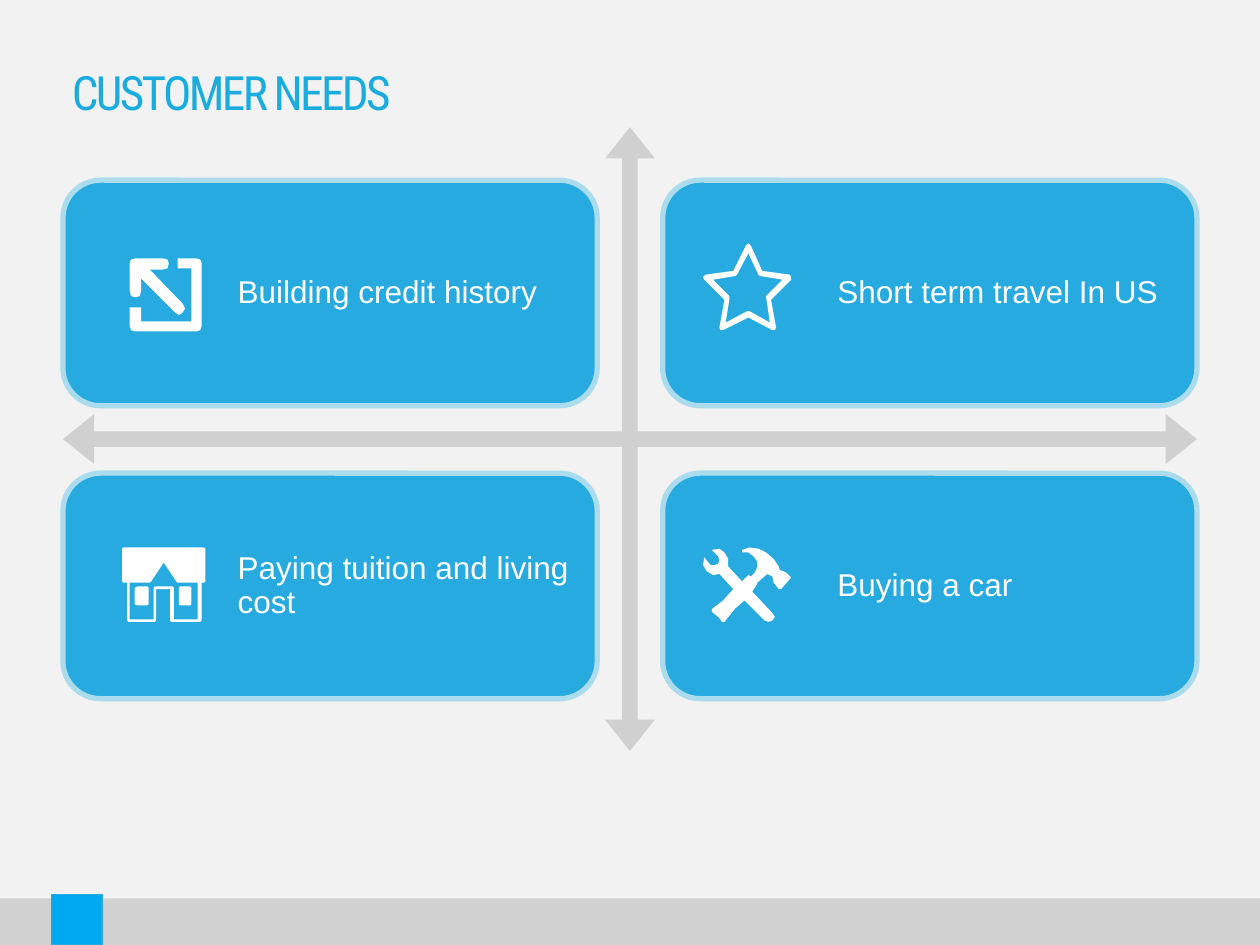
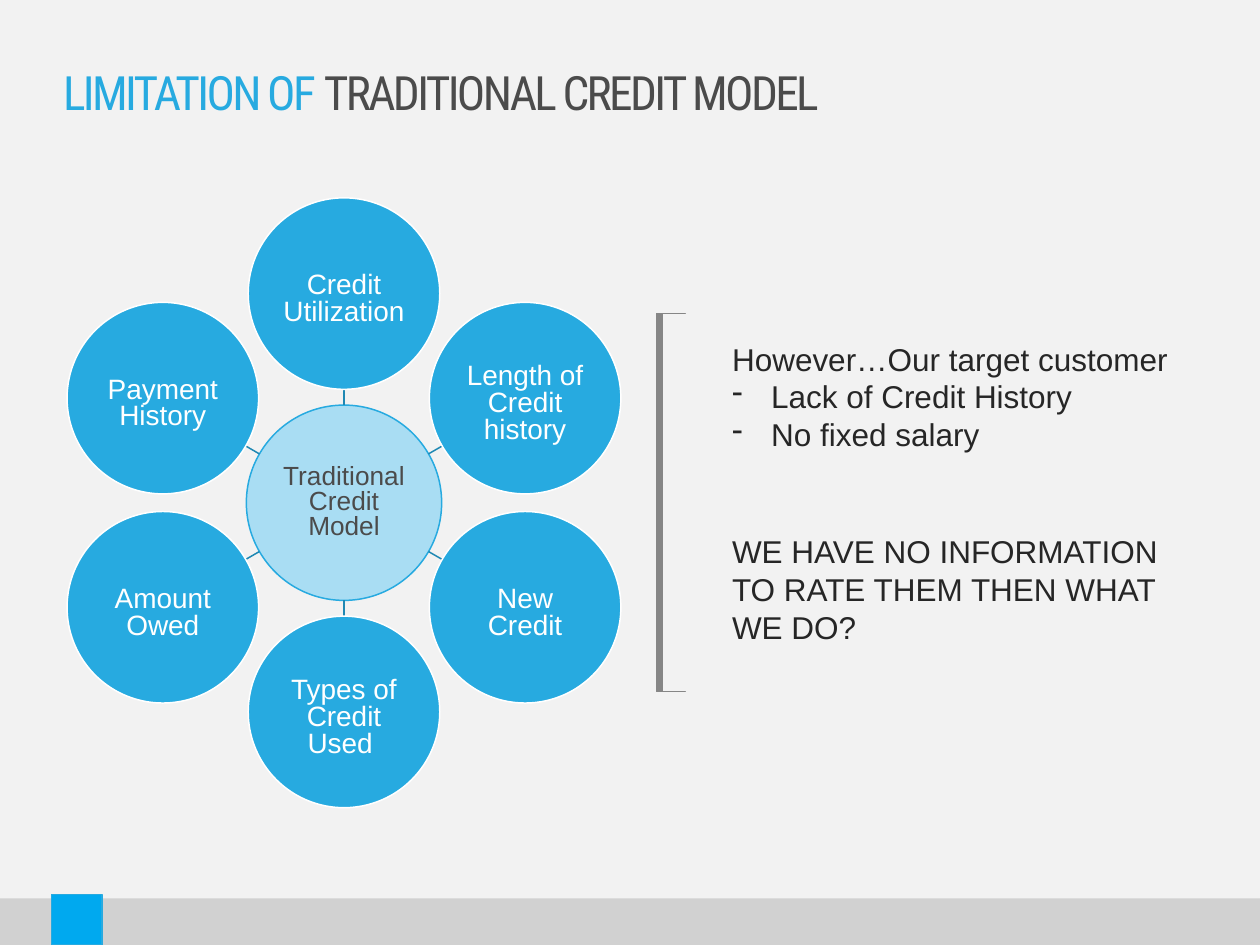
from dataclasses import dataclass
from math import cos, radians, sin

from pptx import Presentation
from pptx.dml.color import RGBColor
from pptx.enum.shapes import MSO_CONNECTOR as Connector, MSO_SHAPE as Shape
from pptx.enum.text import MSO_ANCHOR as Anchor, MSO_AUTO_SIZE as AutoSize, PP_ALIGN as Align
from pptx.oxml.ns import qn
from pptx.util import Inches, Pt
from lxml.etree import SubElement


@dataclass(frozen=True)
class Theme:
    """Colours, fonts and type sizes shared by the slides."""
    paper: str = "F2F2F2"
    band: str = "D1D1D1"
    badge: str = "00A9EF"
    blue: str = "27AAE0"
    title_blue: str = "1BACDF"
    pale: str = "A9DDF3"
    card_edge: str = "AADCEE"
    spoke: str = "1F88B3"
    axis: str = "D0D0D0"
    bracket: str = "868686"
    heading: str = "4B4B4B"
    ink: str = "262626"
    white: str = "FFFFFF"
    title_font: str = "Roboto Condensed"
    body_font: str = "Arial"
    title_size: int = 27
    body_size: int = 18
    node_size: int = 16
    hub_size: int = 15


THEME = Theme()
COLUMNS, ROWS = 100, 75

ARROW_ICON = [
    [(53, 0), (38, 0), (38, 8), (49, 8), (49, 50), (9, 50), (9, 39), (0, 39),
     (0, 54), (1, 57), (4, 58), (53, 58), (56, 57), (57, 54), (57, 4), (56, 1)],
    [(5, 31), (8, 30), (9, 26), (9, 16), (36, 43), (39, 45), (42, 43), (44, 40),
     (42, 36), (16, 9), (26, 9), (30, 8), (31, 4), (30, 1), (26, 0), (5, 0),
     (1, 1), (0, 4), (0, 26), (1, 30)],
]
STAR_ICON = [
    [(50, 42), (53, 63), (37, 54), (35, 54), (18, 63), (21, 44), (21, 42), (8, 29),
     (26, 26), (27, 25), (36, 8), (44, 25), (45, 26), (63, 29)],
    [(70, 27), (69, 25), (47, 22), (38, 2), (36, 0), (34, 2), (24, 22), (2, 25),
     (0, 27), (1, 29), (17, 45), (13, 67), (14, 69), (16, 69), (36, 59), (55, 69),
     (57, 69), (58, 67), (54, 45), (70, 29)],
]
TOOLS_ICON = [
    [(69, 25), (66, 22), (64, 21), (61, 20), (60, 17), (56, 11), (50, 6), (44, 3),
     (37, 2), (31, 4), (31, 6), (36, 6), (40, 9), (43, 13), (43, 18), (41, 22),
     (38, 25), (36, 24), (31, 29), (20, 17), (20, 11), (17, 6), (13, 3), (7, 4),
     (12, 9), (13, 12), (12, 15), (9, 16), (6, 16), (1, 10), (0, 16), (3, 21),
     (8, 24), (13, 23), (24, 35), (16, 44), (7, 51), (7, 53), (13, 58), (15, 61),
     (17, 61), (26, 50), (33, 44), (49, 60), (52, 61), (55, 60), (57, 57), (55, 54),
     (39, 37), (43, 31), (43, 30), (51, 23), (55, 25), (56, 30), (57, 31), (60, 35),
     (62, 35), (69, 27), (70, 26)],
]
HOUSE_ICON = [
    [(60, 57), (41, 57), (41, 32), (40, 31), (26, 31), (25, 32), (25, 57), (6, 57),
     (6, 28), (22, 28), (23, 27), (33, 12), (43, 27), (44, 28), (60, 28)],
    [(65, 0), (1, 0), (0, 1), (0, 27), (1, 28), (4, 28), (4, 58), (5, 59), (26, 59),
     (27, 58), (27, 33), (38, 33), (38, 58), (39, 59), (62, 59), (63, 58), (63, 28),
     (65, 28), (66, 27), (66, 1)],
    [(46, 46), (54, 46), (55, 45), (55, 32), (54, 31), (46, 31), (45, 32), (45, 45)],
    [(20, 31), (12, 31), (10, 32), (10, 45), (12, 46), (20, 46), (21, 45), (21, 32)],
]
BRACKET = [[(5, 300), (5, 0), (23, 0), (0, 0), (0, 300), (23, 300)]]

NEEDS = [
    ("Building credit history", ARROW_ICON, 5.3, 6.2),
    ("Short term travel In US", STAR_ICON, 3.2, 5),
    ("Paying tuition and living cost", HOUSE_ICON, 4.7, 5.9),
    ("Buying a car", TOOLS_ICON, 3.2, 5.7),
]
FACTORS = ["Credit Utilization", "Length of Credit history", "New Credit",
           "Types of Credit Used ", "Amount Owed", "Payment History"]


def cells(count):
    """Turn grid columns or rows into a length."""
    return Inches(count / 10)


def rgb(code):
    """Turn a hex code into a colour."""
    return RGBColor.from_string(code)


def paint(shape, fill, edge=None, width=0.75):
    """Set fill and outline and drop the shadow."""
    shape.shadow.inherit = False
    shape.fill.solid()
    shape.fill.fore_color.rgb = rgb(fill)
    if edge:
        shape.line.color.rgb = rgb(edge)
        shape.line.width = Pt(width)
    else:
        shape.line.fill.background()


def add_dash(para, indent):
    """Give a paragraph a hanging dash bullet."""
    props = para._p.get_or_add_pPr()
    props.set("marL", str(indent))
    props.set("indent", str(-indent))
    SubElement(props, qn("a:buChar")).set("char", "-")


def write(frame, paragraphs, *, size=THEME.body_size, color=THEME.ink, font=THEME.body_font,
          align=Align.LEFT, leading=None, tracking=None, inset=(0, 0, 0, 0), dashed=()):
    """Fill a text frame; a paragraph is a string or a list of (text, colour)."""
    frame.word_wrap = True
    frame.auto_size = AutoSize.NONE
    frame.vertical_anchor = Anchor.MIDDLE
    frame.margin_left, frame.margin_top, frame.margin_right, frame.margin_bottom = map(cells, inset)
    for index, content in enumerate(paragraphs):
        para = frame.add_paragraph() if index else frame.paragraphs[0]
        para.alignment = align
        if leading:
            para.line_spacing = leading
        if index in dashed:
            add_dash(para, cells(3.1))
        for text, shade in [(content, color)] if isinstance(content, str) else content:
            span = para.add_run()
            span.text = text
            span.font.name, span.font.size = font, Pt(size)
            span.font.color.rgb = rgb(shade)
            if tracking:
                span._r.get_or_add_rPr().set("spc", str(round(tracking * 100)))


def add_block(page, kind, left, top, width, height, fill, edge=None, line_width=0.75):
    """Add a painted preset shape."""
    shape = page.shapes.add_shape(kind, *map(cells, (left, top, width, height)))
    paint(shape, fill, edge, line_width)
    return shape


def add_outline(page, contours, left, top, fill, edge=None):
    """Add a freeform from contours given in hundredths of an inch."""
    first, *others = contours
    builder = page.shapes.build_freeform(*first[0], scale=Inches(0.01))
    builder.add_line_segments(first[1:])
    for contour in others:
        builder.move_to(*contour[0])
        builder.add_line_segments(contour[1:])
    paint(builder.convert_to_shape(cells(left), cells(top)), fill, edge, 0)


def add_spoke(page, start, end):
    """Add a thin straight connector between two grid points."""
    line = page.shapes.add_connector(Connector.STRAIGHT, *map(cells, (*start, *end)))
    line.line.color.rgb = rgb(THEME.spoke)
    line.line.width = Pt(0.85)
    SubElement(line._element.spPr, qn("a:effectLst"))


def add_disc(page, center, radius, text, fill, edge, **style):
    """Add a labelled circle around a center."""
    disc = add_block(page, Shape.OVAL, center[0] - radius, center[1] - radius,
                     2 * radius, 2 * radius, fill, edge, 0.85)
    write(disc.text_frame, [text], align=Align.CENTER, leading=0.8, **style)


def add_note(page, top, paragraphs, **style):
    """Add a text box in the right-hand column."""
    box = page.shapes.add_textbox(*map(cells, (58.1, top, 36.9, 9.1)))
    write(box.text_frame, paragraphs, **style)


def add_page(deck, spans, indent=0):
    """Add a title-only slide with its title and footer band."""
    page = deck.slides.add_slide(deck.slide_layouts[5])
    title = page.shapes.title
    title.left, title.top, title.width, title.height = map(cells, (5, 1.05, 90, 12.5))
    write(title.text_frame, [spans], size=THEME.title_size, font=THEME.title_font,
          leading=0.74, tracking=-1.5, inset=(indent, 0.9, 0, 0))
    add_block(page, Shape.RECTANGLE, 0, 71.3, COLUMNS, ROWS - 71.3, THEME.band)
    add_block(page, Shape.RECTANGLE, 4.1, 71, 4, 4, THEME.badge, THEME.blue)
    return page


def build_needs(deck):
    """Build the four-quadrant slide of customer needs."""
    page = add_page(deck, [("CUSTOMER NEEDS", THEME.title_blue)], indent=0.7)
    axes = add_block(page, Shape.QUAD_ARROW, 5, 10.1, 90, 49.5, THEME.axis)
    for index, share in enumerate((0.025, 0.04, 0.05)):
        axes.adjustments[index] = share
    for index, (text, icon, right, down) in enumerate(NEEDS):
        row, column = divmod(index, 2)
        left, top = 5 + 47.6 * column, 14.3 + 23.25 * row
        card = add_block(page, Shape.ROUNDED_RECTANGLE, left, top, 42.4, 17.9,
                         THEME.blue, THEME.card_edge, 3)
        write(card.text_frame, [text], color=THEME.white, leading=0.9, inset=(13, 0.7, 0.7, 0.7))
        add_outline(page, icon, left + right, top + down, THEME.white)


def build_limitation(deck):
    """Build the hub of credit factors with notes beside it."""
    page = add_page(deck, [("LIMITATION OF ", THEME.blue),
                           ("TRADITIONAL CREDIT MODEL", THEME.heading)])
    hub, hub_radius, node_radius, orbit = (27.3, 39.9), 7.75, 7.6, 16.6
    add_disc(page, hub, hub_radius, "Traditional Credit Model", THEME.pale, THEME.blue,
             size=THEME.hub_size, color=THEME.heading, inset=(0.4,) * 4)
    for index, factor in enumerate(FACTORS):
        angle = radians(60 * index - 90)
        edge, rim, center = [(hub[0] + reach * cos(angle), hub[1] + reach * sin(angle))
                             for reach in (hub_radius, orbit - node_radius, orbit)]
        add_spoke(page, edge, rim)
        add_disc(page, center, node_radius, factor, THEME.blue, THEME.white,
                 size=THEME.node_size, color=THEME.white, inset=(0.4, 1.4, 0.4, 0.4))
    add_outline(page, BRACKET, 52.1, 24.9, THEME.bracket, THEME.bracket)
    add_note(page, 26.9, ["However…Our target customer", "Lack of Credit History",
                          "No fixed salary"], dashed=(1, 2))
    add_note(page, 42.2, ["WE HAVE NO INFORMATION TO RATE THEM THEN WHAT WE DO?"])


def main():
    """Build and save the deck."""
    deck = Presentation()
    deck.slide_width, deck.slide_height = cells(COLUMNS), cells(ROWS)
    paper = deck.slide_master.background.fill
    paper.solid()
    paper.fore_color.rgb = rgb(THEME.paper)
    build_needs(deck)
    build_limitation(deck)
    deck.save("out.pptx")


if __name__ == "__main__":
    main()
